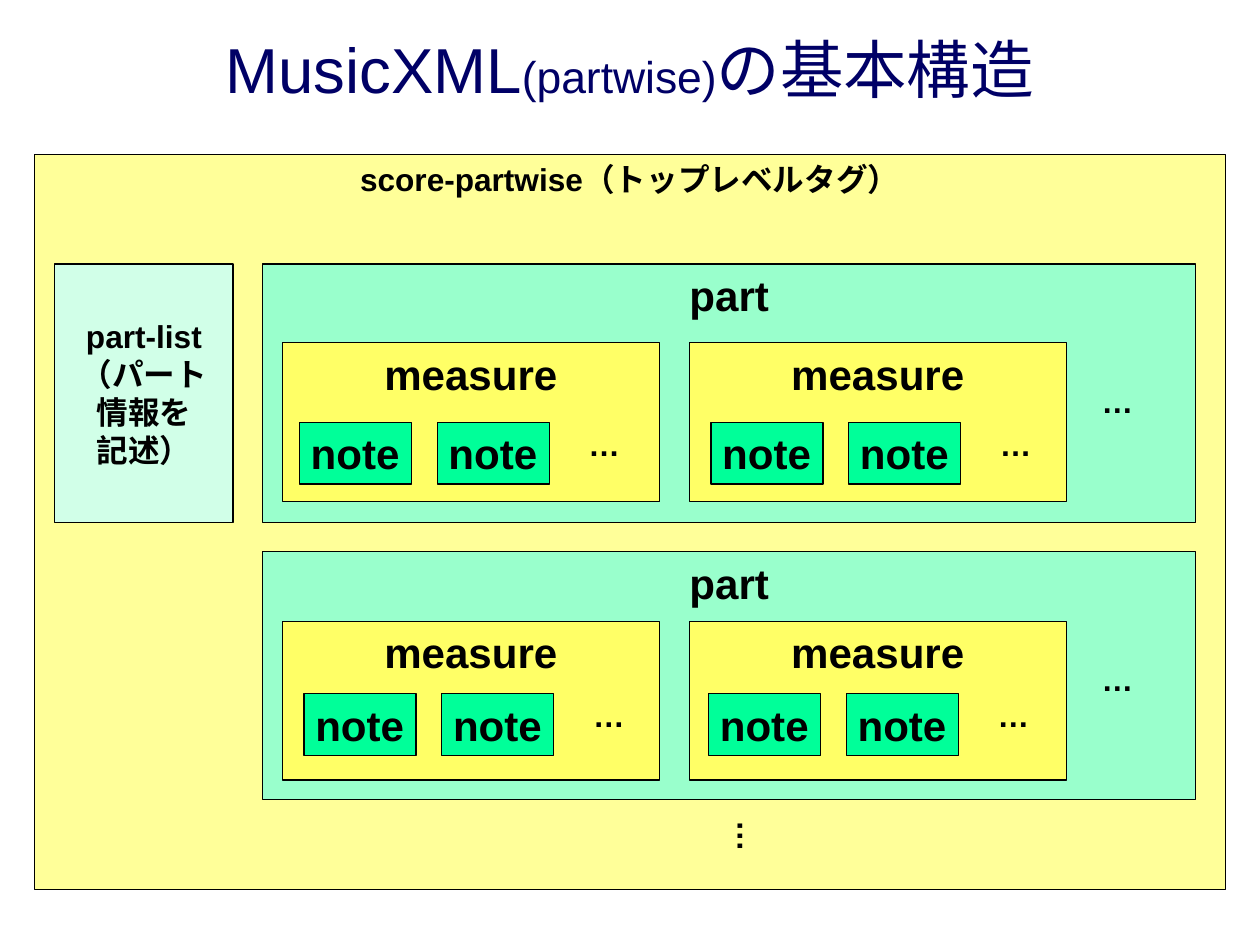
import pptx
import pptx.util
import pptx.dml.color
import pptx.enum.shapes
import pptx.enum.text

Pt = pptx.util.Pt
RGB = pptx.dml.color.RGBColor.from_string
Align = pptx.enum.text.PP_ALIGN
Anchor = pptx.enum.text.MSO_ANCHOR
Size = pptx.enum.text.MSO_AUTO_SIZE

HUES = {
    "title": "000066", "ink": "000000", "score": "FFFF99", "part": "99FFCC",
    "list": "D1FFE8", "measure": "FFFF66", "note": "00FF99",
}
CELL = pptx.util.Inches(0.1)
BIG, SMALL = 26.5, 19.9

deck = pptx.Presentation()
deck.slide_width = pptx.util.Cm(28)
deck.slide_height = pptx.util.Cm(21)
slide = deck.slides.add_slide(deck.slide_layouts[5])


def label(shape, text, size, align):
    frame = shape.text_frame
    frame.word_wrap = False
    frame.vertical_anchor = Anchor.TOP
    para = frame.paragraphs[0]
    para.text = text
    para.alignment = align
    para.font.name = "Arial"
    para.font.size = Pt(size)
    para.font.bold = True
    para.font.color.rgb = RGB(HUES["ink"])
    return frame


def block(kind, text, size, col, row, wide, high, align=Align.CENTER):
    """Add a labelled box, or bare text if kind is None; lengths are in grid cells."""
    spot = [int(n * CELL) for n in (col, row, wide, high)]
    if kind is None:
        return label(slide.shapes.add_textbox(*spot), text, size, align)
    box = slide.shapes.add_shape(pptx.enum.shapes.MSO_SHAPE.RECTANGLE, *spot)
    box.shadow.inherit = False
    box.fill.solid()
    box.fill.fore_color.rgb = RGB(HUES[kind])
    box.line.color.rgb = RGB(HUES["ink"])
    box.line.width = Pt(0.75)
    return label(box, text, size, align)


# Title
title = slide.shapes.title
title.left, title.top = int(5.5 * CELL), int(1.7 * CELL)
title.width, title.height = int(99.2 * CELL), int(8.5 * CELL)
title.text_frame.vertical_anchor = Anchor.MIDDLE
head = title.text_frame.paragraphs[0]
head.alignment = Align.CENTER
head.font.color.rgb = RGB(HUES["title"])
for text, size, face in (
    ("MusicXML", 40, "Arial"), ("(partwise)", 28, "Arial"), ("の基本構造", 40, "Cabin"),
):
    run = head.add_run()
    run.text = text
    run.font.size = Pt(size)
    run.font.name = face

# Score and part list
block("score", "score-partwise（トップレベルタグ）", SMALL, 3, 13.5, 104.2, 64.3)
roster = block("list", "part-list\v（パート\v情報を\v記述）", SMALL, 4.8, 23.1, 15.6, 22.6)
roster.vertical_anchor = Anchor.MIDDLE

# Parts: top, height, measure top, note top, first note of each measure
PARTS = (
    (23.1, 22.6, 30, 36.95, (26.2, 62.2)),
    (48.25, 21.7, 54.35, 60.7, (26.6, 62)),
)
for top, high, bar, row, starts in PARTS:
    block("part", "part", BIG, 23, top, 81.6, high)
    for i, start in enumerate(starts):
        block("measure", "measure", BIG, 24.7 + 35.6 * i, bar, 33, 13.9)
        for j in range(2):
            block("note", "note", BIG, start + 12.05 * j, row, 9.8, 5.4, Align.LEFT)
        block(None, "…", SMALL, start + 24.3, row - 0.3, 4.7, 4.3, Align.LEFT)
    block(None, "…", SMALL, 95.4, bar + 2.9, 4.7, 4.3, Align.LEFT)

# More parts below
more = block(None, "…", SMALL, 62.5, 70.8, 5.3, 3.8, Align.LEFT)
more.margin_left = more.margin_right = Pt(3.6)
more.margin_top = more.margin_bottom = Pt(7.2)
more.auto_size = Size.SHAPE_TO_FIT_TEXT
more._txBody.bodyPr.set("vert", "eaVert")

deck.save("out.pptx")
